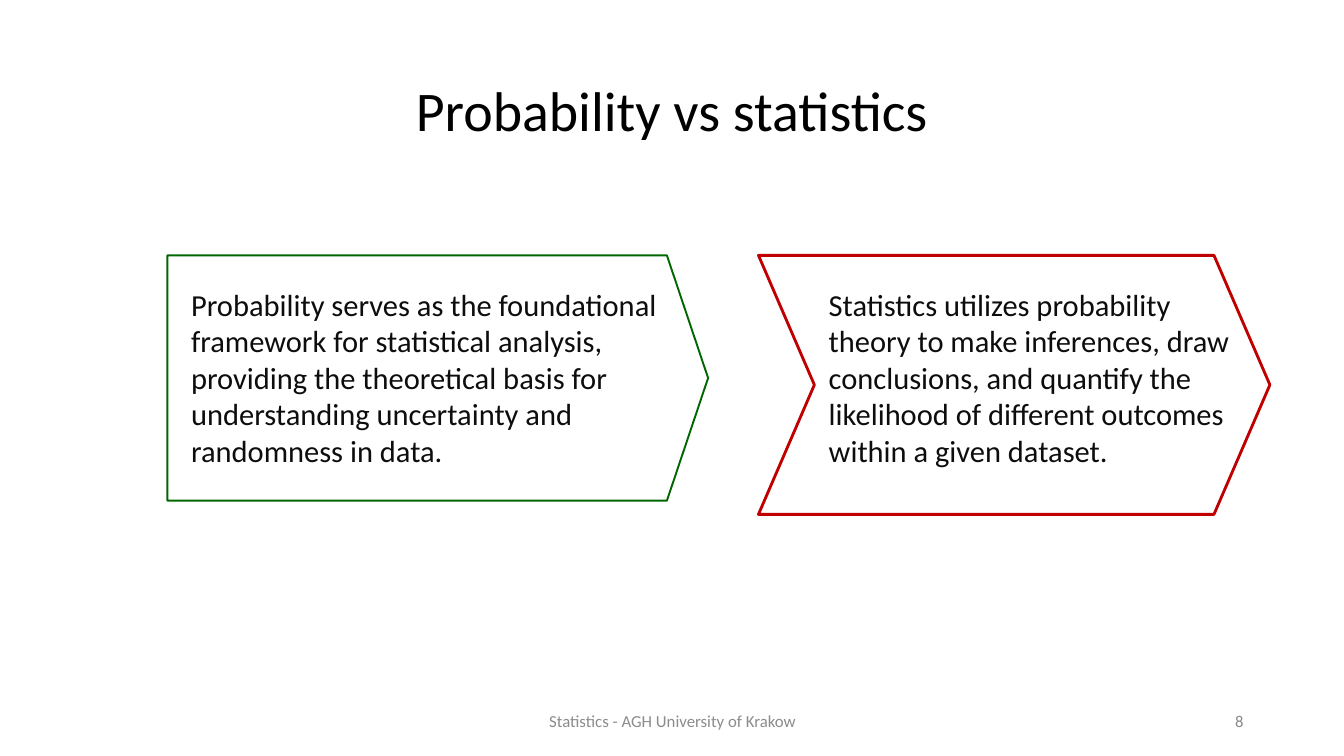
from dataclasses import dataclass

from pptx import Presentation
from pptx.dml.color import RGBColor
from pptx.enum.shapes import MSO_SHAPE
from pptx.enum.text import MSO_ANCHOR, MSO_AUTO_SIZE, PP_ALIGN
from pptx.slide import Slide
from pptx.text.text import TextFrame
from pptx.util import Inches, Pt

FONT = "Calibri"
COLOURS = {
    "title": "000000",
    "body": "0D0D0D",
    "footer": "8C8C8C",
    "number": "898989",
    "probability": "006600",
    "statistics": "C00000",
}
ARROW_TOP = 2.79
TEXT_TOP = 3.07
TEXT_HEIGHT = 2.12
FOOTER_TOP = 7.66
FOOTER_HEIGHT = 0.44


@dataclass(frozen=True)
class ArrowPanel:
    text: str
    outline: MSO_SHAPE
    left: float
    width: float
    height: float
    point: float
    text_left: float
    text_width: float
    colour: str
    line_width: float


@dataclass(frozen=True)
class FooterItem:
    text: str
    left: float
    width: float
    size: float
    colour: str
    alignment: PP_ALIGN


PANELS = [
    ArrowPanel(
        "Probability serves as the foundational framework for statistical analysis, "
        "providing the theoretical basis for understanding uncertainty and "
        "randomness in data.",
        MSO_SHAPE.PENTAGON, 1.83, 5.91, 2.68, 0.168, 1.99, 5.59, "probability", 1.5,
    ),
    ArrowPanel(
        "Statistics utilizes probability theory to make inferences, draw conclusions, "
        "and quantify the likelihood of different outcomes within a given dataset.",
        MSO_SHAPE.CHEVRON, 8.29, 5.59, 2.83, 0.216, 8.96, 4.72, "statistics", 2.25,
    ),
]
FOOTER_ITEMS = [
    FooterItem("Statistics - AGH University of Krakow", 4.87, 4.96, 13.2, "footer", PP_ALIGN.CENTER),
    FooterItem("8", 10.38, 3.31, 13, "number", PP_ALIGN.RIGHT),
]


def colour_of(name: str) -> RGBColor:
    return RGBColor.from_string(COLOURS[name])


def write_text(
    frame: TextFrame, text: str, size: float, colour: str,
    alignment: PP_ALIGN, anchor: MSO_ANCHOR,
) -> None:
    frame.word_wrap = True
    frame.auto_size = MSO_AUTO_SIZE.NONE
    frame.vertical_anchor = anchor
    paragraph = frame.paragraphs[0]
    paragraph.text = text
    paragraph.alignment = alignment
    paragraph.font.name = FONT
    paragraph.font.size = Pt(size)
    paragraph.font.color.rgb = colour_of(colour)


def set_title(slide: Slide, text: str) -> None:
    title = slide.shapes.title
    title.left, title.top = Inches(1.01), Inches(0.44)
    title.width, title.height = Inches(12.67), Inches(1.6)
    write_text(title.text_frame, text, 44, "title", PP_ALIGN.CENTER, MSO_ANCHOR.MIDDLE)
    title.text_frame.paragraphs[0].line_spacing = 0.9


def add_panel(slide: Slide, panel: ArrowPanel) -> None:
    group = slide.shapes.add_group_shape()
    text_box = group.shapes.add_textbox(
        Inches(panel.text_left), Inches(TEXT_TOP), Inches(panel.text_width), Inches(TEXT_HEIGHT)
    )
    write_text(text_box.text_frame, panel.text, 24, "body", PP_ALIGN.LEFT, MSO_ANCHOR.TOP)
    text_box.text_frame.auto_size = MSO_AUTO_SIZE.SHAPE_TO_FIT_TEXT
    arrow = group.shapes.add_shape(
        panel.outline, Inches(panel.left), Inches(ARROW_TOP), Inches(panel.width), Inches(panel.height)
    )
    arrow.adjustments[0] = panel.point
    arrow.shadow.inherit = False
    arrow.fill.background()
    arrow.line.color.rgb = colour_of(panel.colour)
    arrow.line.width = Pt(panel.line_width)


def add_footer_item(slide: Slide, item: FooterItem) -> None:
    text_box = slide.shapes.add_textbox(
        Inches(item.left), Inches(FOOTER_TOP), Inches(item.width), Inches(FOOTER_HEIGHT)
    )
    write_text(
        text_box.text_frame, item.text, item.size, item.colour, item.alignment, MSO_ANCHOR.MIDDLE
    )


def main() -> None:
    presentation = Presentation()
    presentation.slide_width = Inches(14.69)
    presentation.slide_height = Inches(8.26)
    slide = presentation.slides.add_slide(presentation.slide_layouts.get_by_name("Title Only"))
    set_title(slide, "Probability vs statistics")
    for panel in PANELS:
        add_panel(slide, panel)
    for item in FOOTER_ITEMS:
        add_footer_item(slide, item)
    presentation.save("out.pptx")


if __name__ == "__main__":
    main()
